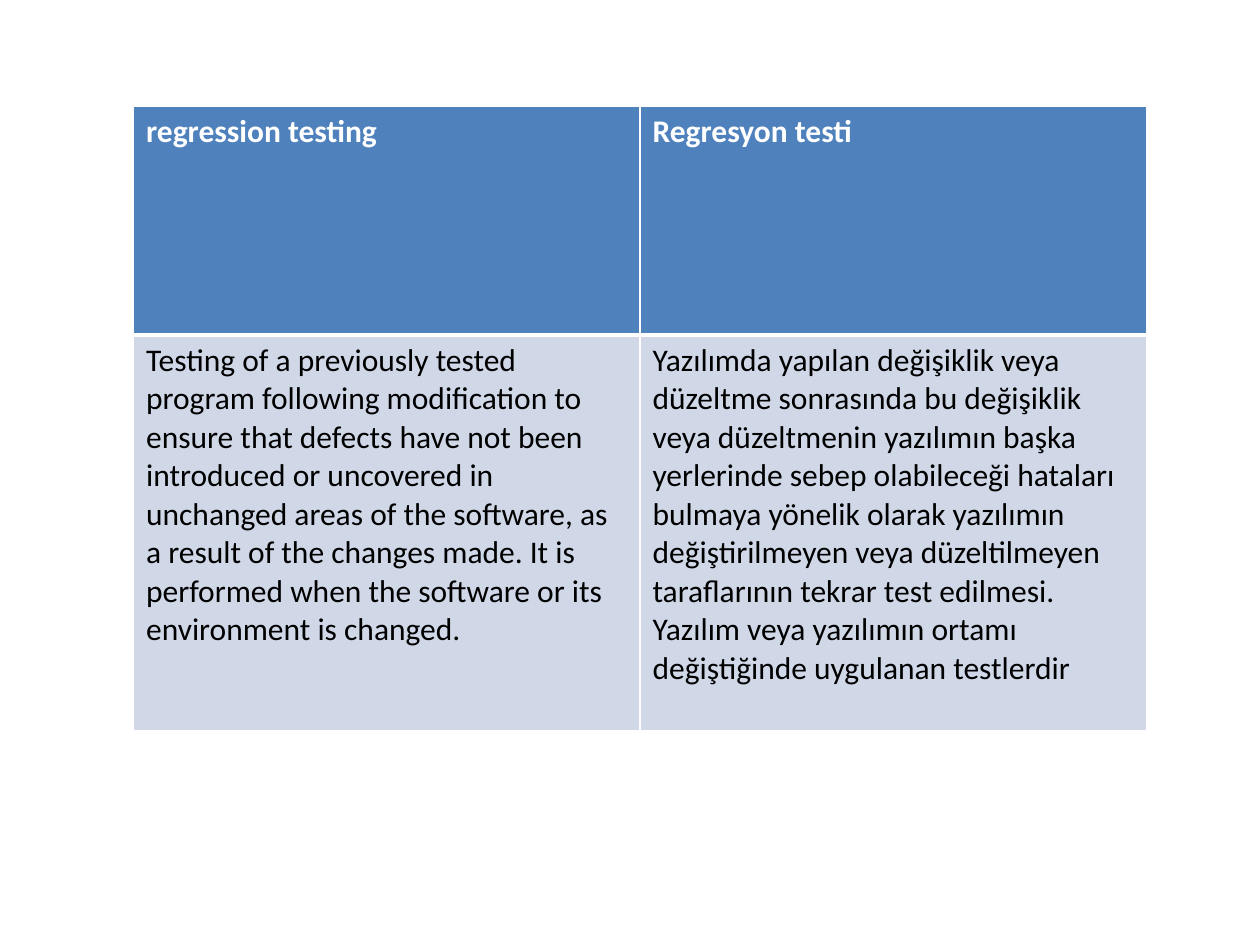
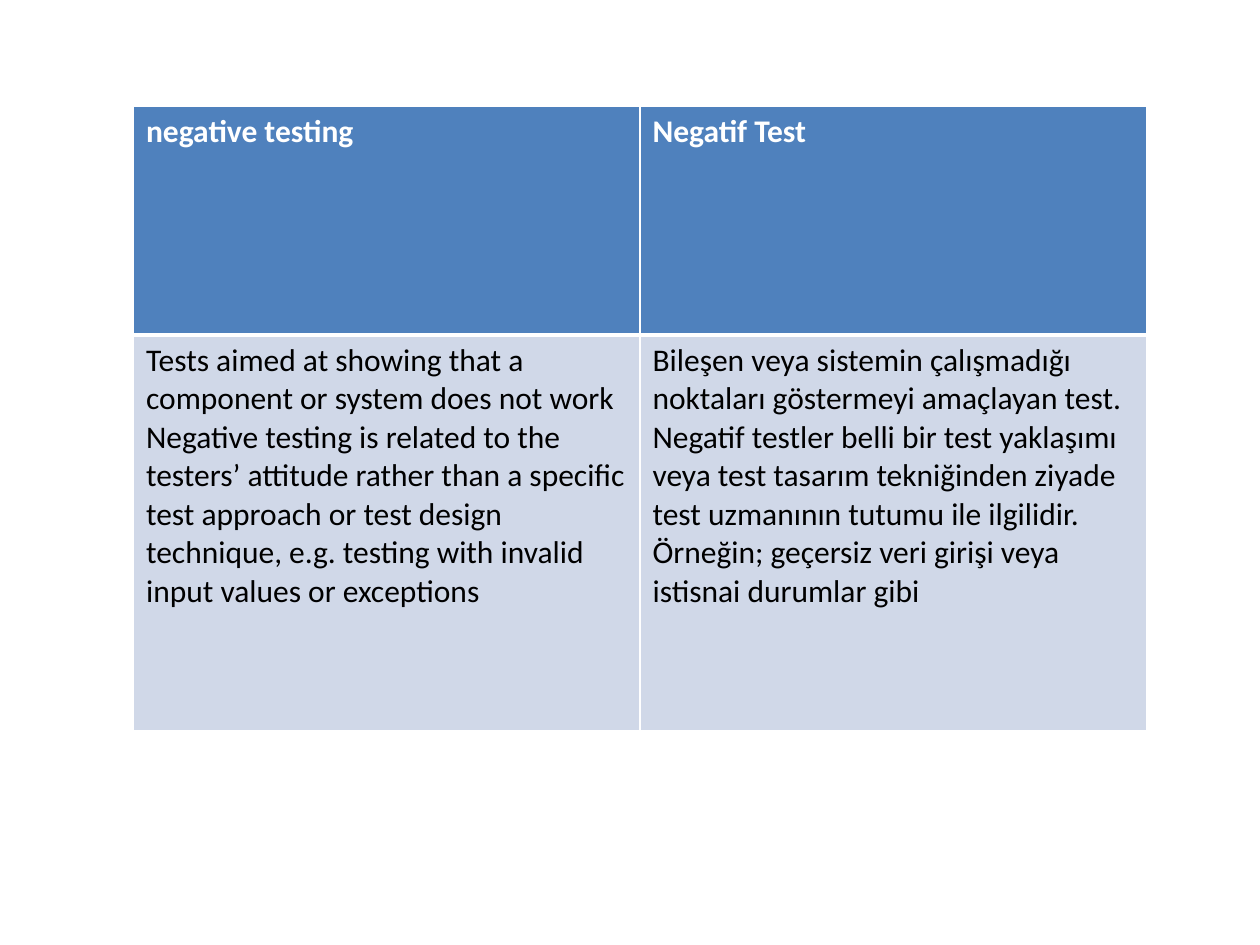
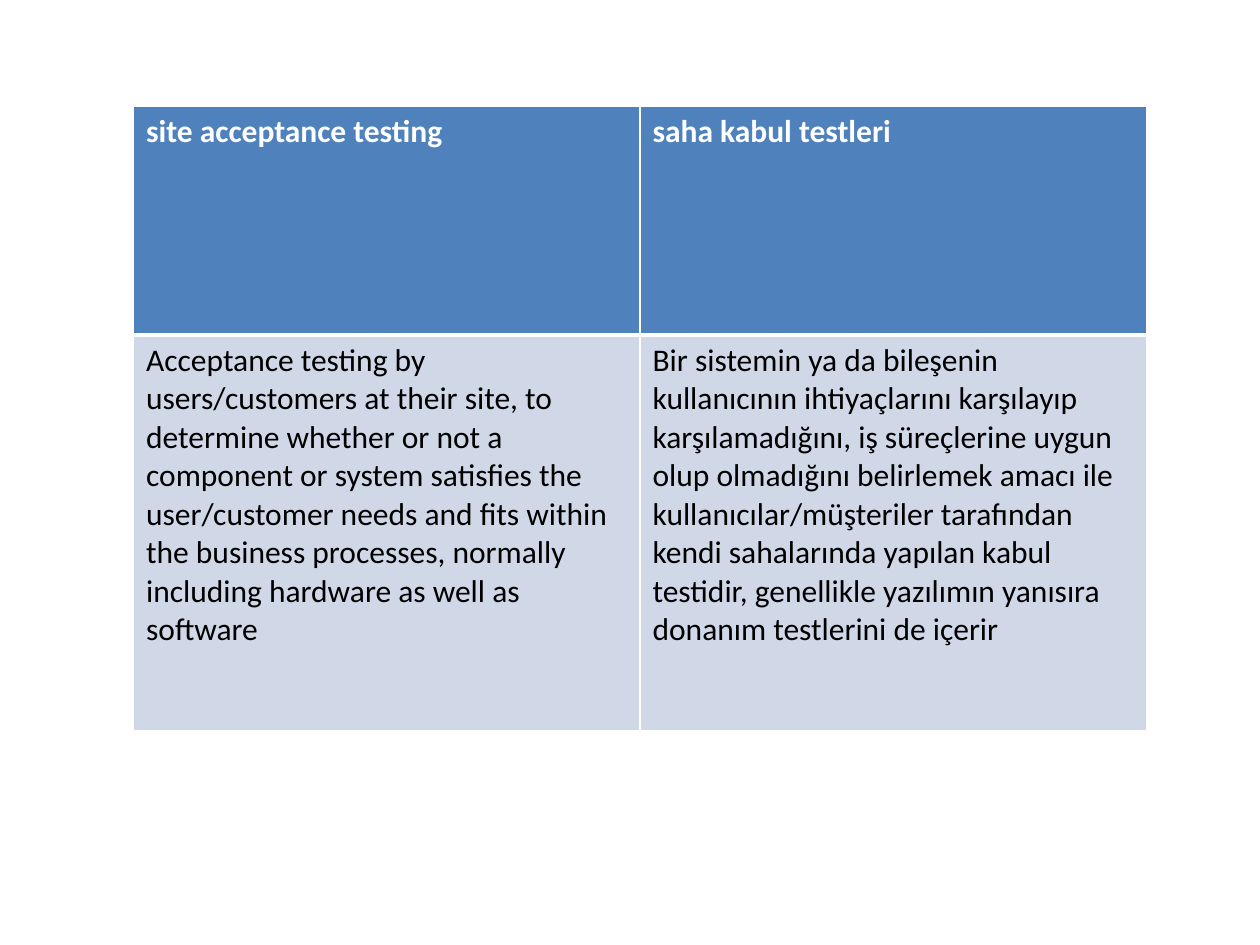
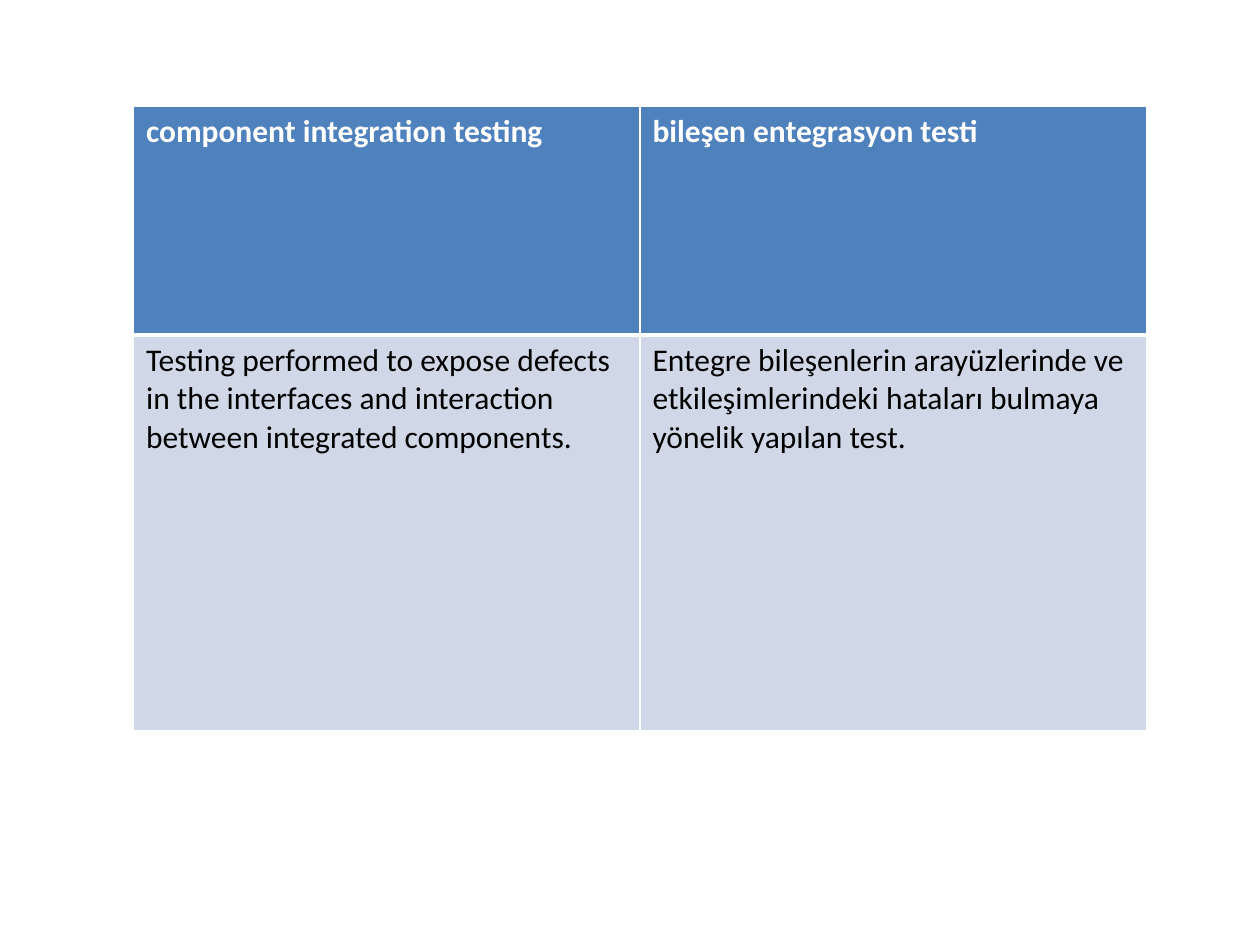
from pptx import Presentation
from pptx.dml.color import RGBColor as Rgb
from pptx.oxml.ns import qn
from pptx.util import Inches, Pt
from lxml.etree import SubElement as Sub

HEAD, BODY, WHITE, BLACK = "4F81BD", "D0D8E8", "FFFFFF", "000000"
WIDE, TALL = 10, 7.5
LEFT, TOP = 1.06, 0.84
COLS, ROWS = [4.02, 4.02], [1.82, 3.14]
LOOKS = [
    (HEAD, WHITE, True, {"L": 1, "R": 1, "T": 1, "B": 3}),
    (BODY, BLACK, False, {"L": 1, "R": 1, "T": 3, "B": 1}),
]

TERMS = [
    [
        ("regression testing", "Regresyon testi"),
        (
            "Testing of a previously tested program following modification to ensure "
            "that defects have not been introduced or uncovered in unchanged areas of "
            "the software, as a result of the changes made. It is performed when the "
            "software or its environment is changed.",
            "Yazılımda yapılan değişiklik veya düzeltme sonrasında bu değişiklik veya "
            "düzeltmenin yazılımın başka yerlerinde sebep olabileceği hataları bulmaya "
            "yönelik olarak yazılımın değiştirilmeyen veya düzeltilmeyen taraflarının "
            "tekrar test edilmesi. Yazılım veya yazılımın ortamı değiştiğinde uygulanan "
            "testlerdir",
        ),
    ],
    [
        ("negative testing", "Negatif Test"),
        (
            "Tests aimed at showing that a component or system does not work Negative "
            "testing is related to the testers’ attitude rather than a specific test "
            "approach or test design technique, e.g. testing with invalid input values "
            "or exceptions",
            "Bileşen veya sistemin çalışmadığı noktaları göstermeyi amaçlayan test. "
            "Negatif testler belli bir test yaklaşımı veya test tasarım tekniğinden "
            "ziyade test uzmanının tutumu ile ilgilidir. Örneğin; geçersiz veri girişi "
            "veya istisnai durumlar gibi",
        ),
    ],
    [
        ("site acceptance testing", "saha kabul testleri"),
        (
            "Acceptance testing by users/customers at their site, to determine whether "
            "or not a component or system satisfies the user/customer needs and fits "
            "within the business processes, normally including hardware as well as "
            "software",
            "Bir sistemin ya da bileşenin kullanıcının ihtiyaçlarını karşılayıp "
            "karşılamadığını, iş süreçlerine uygun olup olmadığını belirlemek amacı ile "
            "kullanıcılar/müşteriler tarafından kendi sahalarında yapılan kabul "
            "testidir, genellikle yazılımın yanısıra donanım testlerini de içerir",
        ),
    ],
    [
        ("component integration testing", "bileşen entegrasyon testi"),
        (
            "Testing performed to expose defects in the interfaces and interaction "
            "between integrated components.",
            "Entegre bileşenlerin arayüzlerinde ve etkileşimlerindeki hataları bulmaya "
            "yönelik yapılan test.",
        ),
    ],
]


def paint(fill, tone):
    fill.solid()
    fill.fore_color.rgb = Rgb.from_string(tone)


def edge(cell, sides):
    props = cell._tc.get_or_add_tcPr()
    for side, width in sides.items():
        line = Sub(props, qn(f"a:ln{side}"), w=str(Pt(width)))
        Sub(Sub(line, qn("a:solidFill")), qn("a:srgbClr"), val=WHITE)


deck = Presentation()
deck.slide_width, deck.slide_height = Inches(WIDE), Inches(TALL)

for term in TERMS:
    slide = deck.slides.add_slide(deck.slide_layouts[6])
    table = slide.shapes.add_table(
        len(ROWS), len(COLS), Inches(LEFT), Inches(TOP),
        Inches(sum(COLS)), Inches(sum(ROWS)),
    ).table
    for col, width in zip(table.columns, COLS):
        col.width = Inches(width)
    for row, height, texts, look in zip(table.rows, ROWS, term, LOOKS):
        row.height = Inches(height)
        back, ink, bold, sides = look
        for cell, text in zip(row.cells, texts):
            edge(cell, sides)
            paint(cell.fill, back)
            run = cell.text_frame.paragraphs[0].add_run()
            run.text = text
            font = run.font
            font.name, font.size, font.bold = "Calibri", Pt(18), bold
            paint(font.fill, ink)

deck.save("out.pptx")
